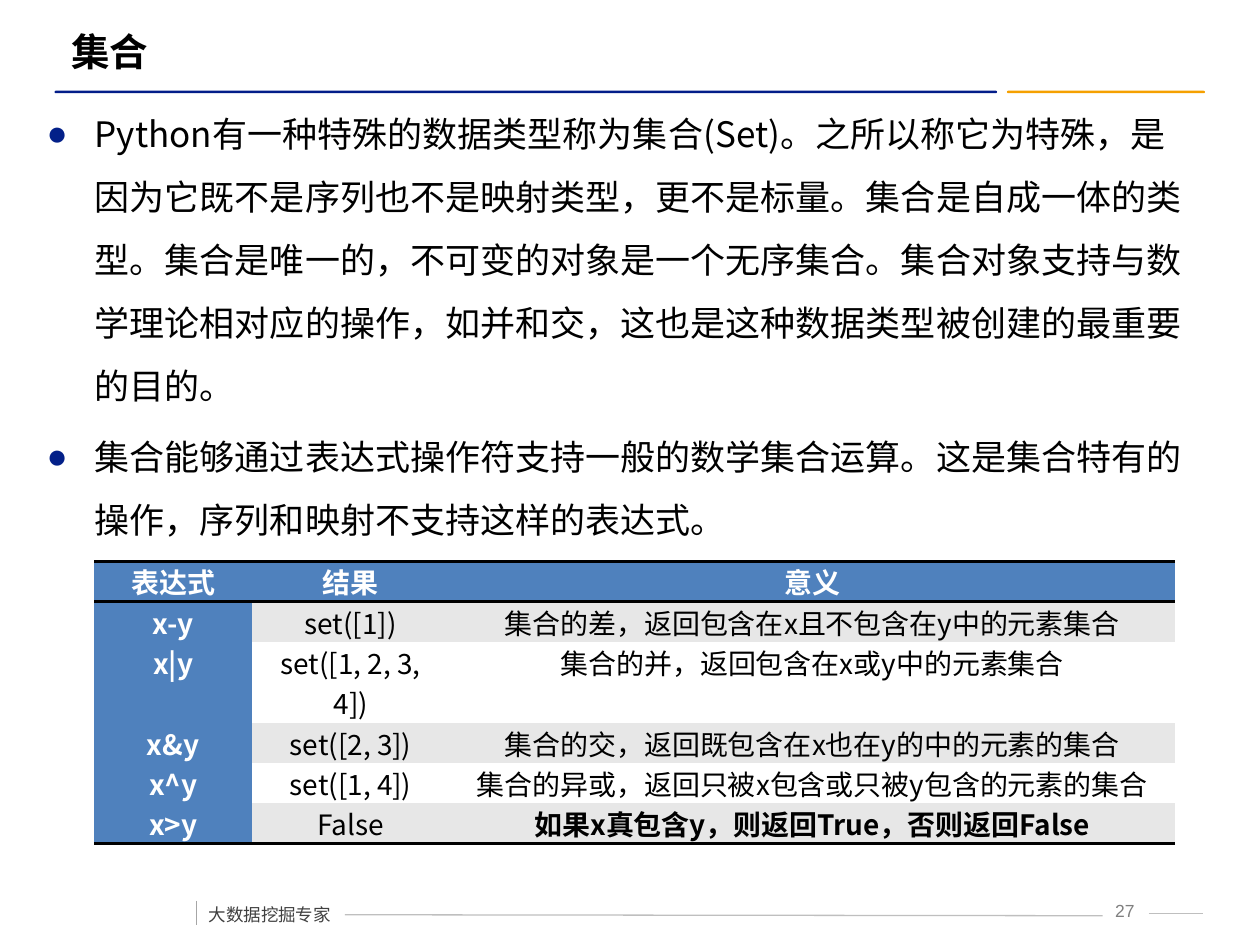
from lxml import etree
from pptx import Presentation
from pptx import util as u
from pptx.dml.color import RGBColor
from pptx.enum import shapes, text
from pptx.oxml import ns

SANS, ARIAL = "Noto Sans CJK SC", "Arial"
COLORS = {
    "black": "000000", "white": "FFFFFF", "navy": "031D89", "orange": "F5A000",
    "bullet": "032089", "header": "4F81BD", "band": "E7E7E7",
    "rule": "BFBFBF", "tick": "A6A6A6", "footer": "404040", "number": "7F7F7F",
}


def style(paragraph, size, color, font=SANS, bold=False):
    for run in paragraph.runs:
        run.font.size, run.font.bold, run.font.name = u.Pt(size), bold, font
        run.font.color.rgb = RGBColor.from_string(COLORS[color])
        east_asian = etree.Element(ns.qn("a:ea"), typeface=SANS)
        run.font._element.find(ns.qn("a:latin")).addnext(east_asian)


def add_text(left, top, width, height, words, wrap=True):
    box = slide.shapes.add_textbox(u.Cm(left), u.Cm(top), u.Cm(width), u.Cm(height))
    box.text_frame.word_wrap = wrap
    box.text_frame.text = words
    return box.text_frame


prs = Presentation()
prs.slide_width, prs.slide_height = u.Cm(25.4), u.Cm(19.05)
slide = prs.slides.add_slide(prs.slide_layouts[6])

# Two-colour bar under the title
for left, width, color in [(20.3, 3.99, "orange"), (1.1, 19, "navy")]:
    bar = slide.shapes.add_shape(shapes.MSO_SHAPE.ROUNDED_RECTANGLE,
                                 u.Cm(left), u.Cm(1.83), u.Cm(width), u.Cm(0.05))
    bar.adjustments[0] = 0.5
    bar.shadow.inherit = False
    bar.fill.solid()
    bar.fill.fore_color.rgb = RGBColor.from_string(COLORS[color])
    bar.line.fill.background()

# Footer lines
for x1, y1, x2, y2, color in [
    (6.95, 18.44, 22.23, 18.46, "rule"),
    (23.16, 18.42, 24.26, 18.42, "rule"),
    (3.96, 18.16, 3.96, 18.64, "tick"),
]:
    rule = slide.shapes.add_connector(shapes.MSO_CONNECTOR.STRAIGHT,
                                      u.Cm(x1), u.Cm(y1), u.Cm(x2), u.Cm(y2))
    rule.line.color.rgb = RGBColor.from_string(COLORS[color])
    rule.line.width = u.Pt(0.75)
    etree.SubElement(rule._element.spPr, ns.qn("a:effectLst"))

# Footer texts
slogan = add_text(3.96, 17.88, 3, 0.89, "大数据挖掘专家", wrap=False)
slogan.paragraphs[0].line_spacing = 1.5
style(slogan.paragraphs[0], 10, "footer")

page = add_text(22.08, 18.01, 1.19, 0.64, "27")
page.paragraphs[0].alignment = text.PP_ALIGN.CENTER
style(page.paragraphs[0], 10, "number", ARIAL)

# Title
title = add_text(1.19, 0.43, 23.11, 1.19, "集合")
title.vertical_anchor = text.MSO_ANCHOR.MIDDLE
style(title.paragraphs[0], 22, "black", ARIAL, bold=True)

# Bulleted explanation
points = [
    "Python有一种特殊的数据类型称为集合(Set)。之所以称它为特殊，是因为它既不是序列也不是映射类型，"
    "更不是标量。集合是自成一体的类型。集合是唯一的，不可变的对象是一个无序集合。"
    "集合对象支持与数学理论相对应的操作，如并和交，这也是这种数据类型被创建的最重要的目的。",
    "集合能够通过表达式操作符支持一般的数学集合运算。这是集合特有的操作，序列和映射不支持这样的表达式。",
]
body = add_text(0.69, 1.72, 23.39, 9.17, "\n".join(points))
for i, point in enumerate(body.paragraphs):
    props = point._p.get_or_add_pPr()
    props.set("marL", str(u.Cm(0.97)))
    props.set("indent", str(-u.Cm(0.97)))
    bullet_color = etree.SubElement(props, ns.qn("a:buClr"))
    etree.SubElement(bullet_color, ns.qn("a:srgbClr"), val=COLORS["bullet"])
    etree.SubElement(props, ns.qn("a:buFont"), typeface=ARIAL)
    etree.SubElement(props, ns.qn("a:buChar"), char="●")
    point.line_spacing = 1.5
    if i:
        point.space_before = u.Pt(4.5)
    style(point, 20, "black")

# Table of set operators
operators = [
    ("表达式", "结果", "意义"),
    ("x-y", "set([1])", "集合的差，返回包含在x且不包含在y中的元素集合"),
    ("x|y", "set([1, 2, 3, 4])", "集合的并，返回包含在x或y中的元素集合"),
    ("x&y", "set([2, 3])", "集合的交，返回既包含在x也在y的中的元素的集合"),
    ("x^y", "set([1, 4])", "集合的异或，返回只被x包含或只被y包含的元素的集合"),
    ("x>y", "False", "如果x真包含y，则返回True，否则返回False"),
]
widths = [3.18, 3.98, 14.63]
heights = [0.81, 0.81, 1.63, 0.81, 0.81, 0.81]
last = len(operators) - 1
table = slide.shapes.add_table(len(operators), len(widths), u.Cm(1.9), u.Cm(11.32),
                               u.Cm(sum(widths)), u.Cm(sum(heights))).table
table.first_row = table.horz_banding = False
# Plain style without grid lines
table._tbl.tblPr.find(ns.qn("a:tableStyleId")).text = "{2D5ABB26-0587-4C30-8999-92F81FD0307C}"
for column, width in zip(table.columns, widths):
    column.width = u.Cm(width)
for row, height in zip(table.rows, heights):
    row.height = u.Cm(height)

for r, values in enumerate(operators):
    for c, value in enumerate(values):
        cell = table.cell(r, c)
        cell.margin_left = cell.margin_right = u.Cm(0.18)
        cell.margin_top = cell.margin_bottom = 0
        heading = r == 0 or c == 0
        fill = "header" if heading else "band" if r % 2 else "white"
        cell.fill.solid()
        cell.fill.fore_color.rgb = RGBColor.from_string(COLORS[fill])
        cell.text_frame.text = value
        entry = cell.text_frame.paragraphs[0]
        entry.alignment = text.PP_ALIGN.CENTER
        style(entry, 16, "white" if heading else "black",
              bold=heading or (r == last and c == 2))
        edges = {0: ["a:lnT", "a:lnB"], last: ["a:lnB"]}.get(r, [])
        for position, edge in enumerate(edges):
            border = etree.Element(ns.qn(edge), w=str(u.Pt(2)))
            paint = etree.SubElement(border, ns.qn("a:solidFill"))
            etree.SubElement(paint, ns.qn("a:srgbClr"), val=COLORS["black"])
            cell._tc.get_or_add_tcPr().insert(position, border)

prs.save("out.pptx")
